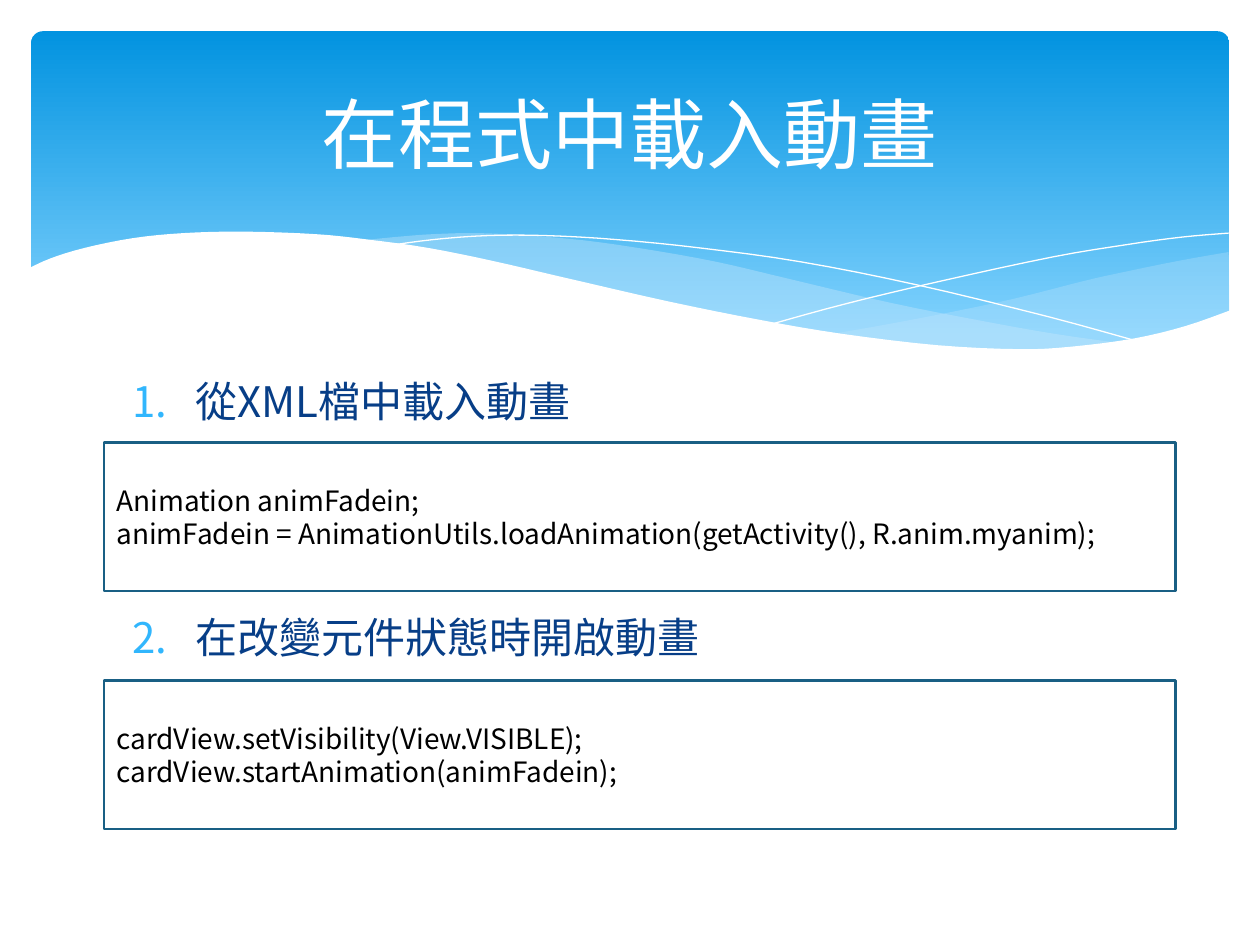
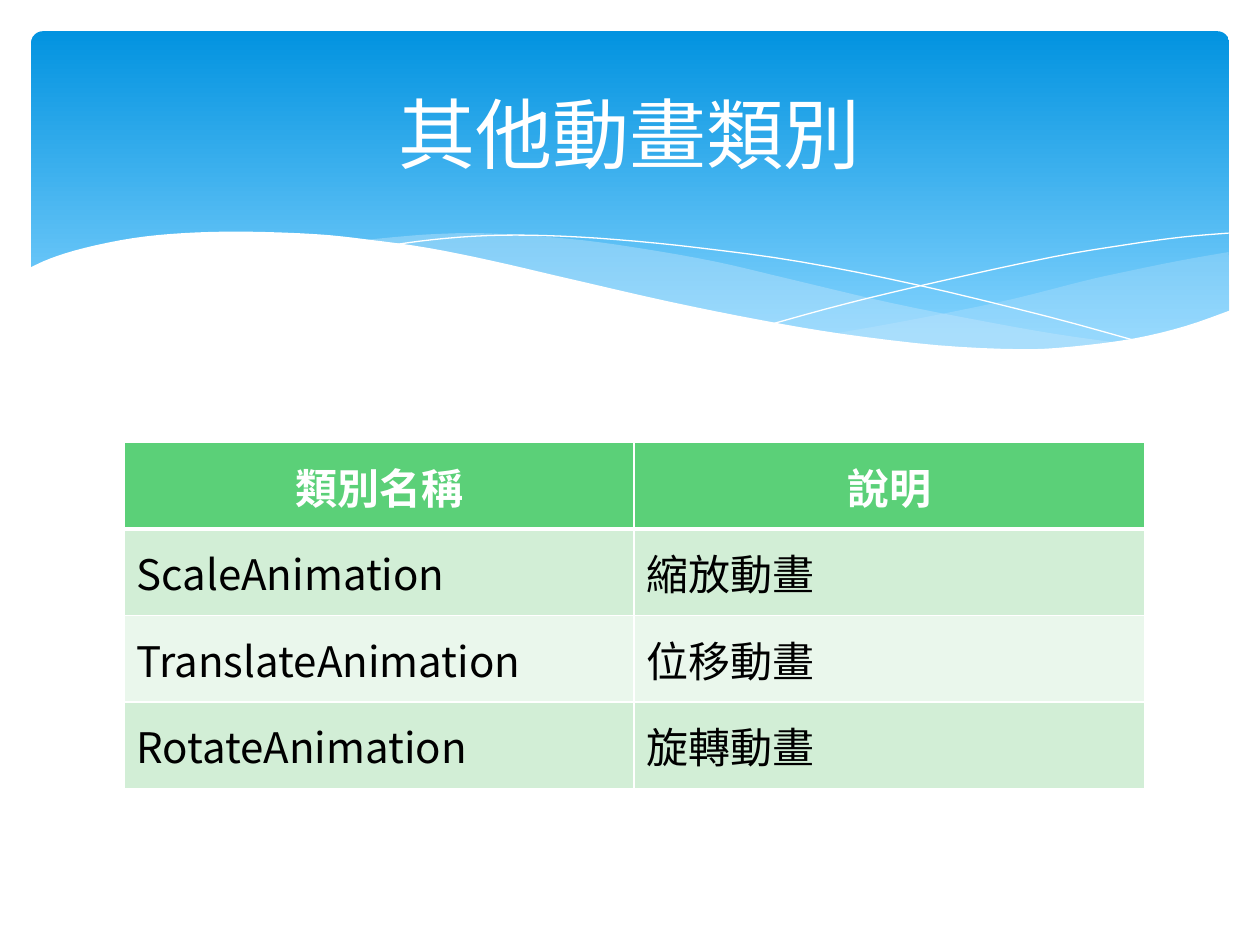
from lxml import etree
from pptx import Presentation
from pptx.dml.color import RGBColor
from pptx.enum.shapes import MSO_SHAPE
from pptx.enum.text import MSO_ANCHOR, MSO_AUTO_SIZE, PP_ALIGN
from pptx.oxml.ns import qn
from pptx.util import Cm, Pt

FONT = "Noto Sans CJK SC"
WHITE = RGBColor(0xFF, 0xFF, 0xFF)
BLACK = RGBColor(0x00, 0x00, 0x00)
NAVY = RGBColor(0x07, 0x3E, 0x87)
NUMBER_BLUE = RGBColor(0x31, 0xB6, 0xFD)
BOX_BLUE = RGBColor(0x19, 0x5F, 0x84)
BAND_TOP = RGBColor(0x02, 0x93, 0xE0)
BAND_BOTTOM = RGBColor(0x83, 0xD3, 0xFE)
WAVE_BLUE = RGBColor(0xC6, 0xE7, 0xFC)
HEADER_GREEN = RGBColor(0x5B, 0xD0, 0x78)
ROW_GREENS = [RGBColor(0xD2, 0xEE, 0xD6), RGBColor(0xEA, 0xF7, 0xEC)]

LOAD_TITLE = "在程式中載入動畫"
STEPS = [
    ("從XML檔中載入動畫", [
        "Animation animFadein;",
        "animFadein = AnimationUtils.loadAnimation(getActivity(), R.anim.myanim);",
    ]),
    ("在改變元件狀態時開啟動畫", [
        "cardView.setVisibility(View.VISIBLE);",
        "cardView.startAnimation(animFadein);",
    ]),
]
CLASS_TITLE = "其他動畫類別"
CLASS_ROWS = [
    ("類別名稱", "說明"),
    ("ScaleAnimation", "縮放動畫"),
    ("TranslateAnimation", "位移動畫"),
    ("RotateAnimation", "旋轉動畫"),
]

RIGHT_WAVE = [
    [(24.77, 5.08), (23.75, 5.26), (22.63, 5.49), (21.87, 5.66), (20.45, 6.02),
     (19.13, 6.3), (17.93, 6.53), (16.79, 6.73)],
    [(16.79, 6.73), (17.91, 6.88), (18.92, 6.99), (19.84, 7.04), (20.68, 7.06),
     (21.69, 7.01), (22.58, 6.91), (23.39, 6.73), (24.1, 6.53), (24.79, 6.27)],
]
LEFT_WAVE = [
    [(22.68, 6.93), (21.26, 6.73), (19.69, 6.45), (17.93, 6.1), (15.98, 5.64),
     (14.45, 5.28), (13.06, 5.03), (11.81, 4.85), (10.67, 4.75), (9.65, 4.7),
     (8.74, 4.72), (7.95, 4.78), (7.26, 4.85)],
    [(7.26, 4.85), (8.69, 5.05), (10.26, 5.36), (11.4, 5.64), (13.46, 6.1),
     (15.27, 6.48), (16.89, 6.76), (18.34, 6.96), (19.63, 7.04), (20.78, 7.06),
     (21.77, 7.04), (22.68, 6.93)],
]
FALLING_LINE = [
    [(7.85, 4.95), (8.74, 4.83), (9.83, 4.75), (11, 4.75), (12.42, 4.83),
     (14.12, 5), (16.15, 5.28), (18.47, 5.74), (21.11, 6.38), (23.04, 6.91)],
]
RISING_LINE = [
    [(15.57, 6.53), (17.07, 6.12), (19, 5.66), (21.23, 5.18), (22.73, 4.93),
     (23.83, 4.78), (24.77, 4.7)],
]
WHITE_EDGE = [
    [(24.82, 6.25), (23.88, 6.58), (22.83, 6.83), (21.59, 6.99), (20.55, 7.04),
     (18.9, 6.96), (16.97, 6.73), (15.32, 6.45), (13.44, 6.07), (11.35, 5.59),
     (9.93, 5.26), (8.64, 5), (7.42, 4.83), (6.35, 4.72), (4.9, 4.67),
     (3.71, 4.7), (2.69, 4.8), (1.7, 5), (1.02, 5.21), (0.58, 5.41)],
    [(0.58, 8.36), (24.82, 8.36)],
]
WAVES = [
    (RIGHT_WAVE, WAVE_BLUE, 29),
    (LEFT_WAVE, WAVE_BLUE, 40),
    (FALLING_LINE, None, 100),
    (RISING_LINE, None, 100),
    (WHITE_EDGE, WHITE, 100),
]


def add_xml(parent, tag, **attributes):
    return etree.SubElement(parent, qn(tag), attributes)


def smooth_curve(points, steps=4):
    padded = [points[0], *points, points[-1]]
    curve = [points[0]]
    for a, b, c, d in zip(padded, padded[1:], padded[2:], padded[3:]):
        for step in range(1, steps + 1):
            t = step / steps
            curve.append(tuple(
                (2 * q + (r - p) * t + (2 * p - 5 * q + 4 * r - s) * t ** 2
                 + (3 * q - p - 3 * r + s) * t ** 3) / 2
                for p, q, r, s in zip(a, b, c, d)))
    return curve


def add_wave(shapes, edges, color, opacity):
    points = [(Cm(x), Cm(y)) for edge in edges for x, y in smooth_curve(edge)]
    builder = shapes.build_freeform(*points[0])
    builder.add_line_segments(points[1:], close=color is not None)
    wave = builder.convert_to_shape()
    wave.shadow.inherit = False
    if color is None:
        wave.fill.background()
        wave.line.color.rgb = WHITE
        wave.line.width = Pt(0)
    else:
        wave.fill.solid()
        wave.fill.fore_color.rgb = color
        wave.line.fill.background()
        if opacity < 100:
            fill_color = wave.element.spPr.find(qn("a:solidFill"))[0]
            add_xml(fill_color, "a:alpha", val=str(opacity * 1000))
    return wave


def add_band(shapes):
    band = shapes.add_shape(MSO_SHAPE.ROUNDED_RECTANGLE, Cm(0.63), Cm(0.63), Cm(24.15), Cm(6.86))
    band.adjustments[0] = 0.034
    band.shadow.inherit = False
    band.line.fill.background()
    band.fill.gradient()
    band.fill.gradient_angle = 270
    for stop, color, position in zip(band.fill.gradient_stops, (BAND_TOP, BAND_BOTTOM), (0, 0.9)):
        stop.color.rgb = color
        stop.position = position
    return band


def move_to_master(master, shapes):
    for index, shape in enumerate(shapes):
        master.shapes.element.insert(2 + index, shape.element)


def place(shape, left, top, width, height):
    shape.left, shape.top, shape.width, shape.height = Cm(left), Cm(top), Cm(width), Cm(height)


def write(paragraph, text, size, color, bold=False, align=PP_ALIGN.LEFT):
    paragraph.alignment = align
    run = paragraph.add_run()
    run.text = text
    run.font.size = Pt(size)
    run.font.bold = bold
    run.font.color.rgb = color
    run.font.name = FONT
    add_xml(run.font._element, "a:ea", typeface=FONT)


def write_lines(frame, lines, size, color):
    for index, line in enumerate(lines):
        paragraph = frame.add_paragraph() if index else frame.paragraphs[0]
        write(paragraph, line, size, color)


def add_slide(prs, layout_index, title_text):
    slide = prs.slides.add_slide(prs.slide_layouts[layout_index])
    title = slide.shapes.title
    place(title, 1.27, 0.94, 22.86, 3.48)
    title.text_frame.auto_size = MSO_AUTO_SIZE.NONE
    title.text_frame.vertical_anchor = MSO_ANCHOR.MIDDLE
    write(title.text_frame.paragraphs[0], title_text, 44, WHITE, align=PP_ALIGN.CENTER)
    return slide


def number_paragraph(paragraph):
    properties = paragraph._p.get_or_add_pPr()
    properties.set("marL", str(Cm(1.27)))
    properties.set("indent", str(-Cm(1.27)))
    bullet_color = add_xml(properties, "a:buClr")
    add_xml(bullet_color, "a:srgbClr", val=str(NUMBER_BLUE))
    add_xml(properties, "a:buFont", typeface=FONT)
    add_xml(properties, "a:buAutoNum", type="arabicPeriod")


def fill_steps(slide):
    body = slide.placeholders[1]
    place(body, 2.41, 7.44, 20.88, 9.58)
    frame = body.text_frame
    frame.auto_size = MSO_AUTO_SIZE.NONE
    write_lines(frame, [heading for heading, code in STEPS], 24, NAVY)
    for paragraph, gap in zip(frame.paragraphs, (4.8, 106.3)):
        paragraph.space_before = Pt(gap)
        number_paragraph(paragraph)
    for index, (heading, code) in enumerate(STEPS):
        box = slide.shapes.add_shape(
            MSO_SHAPE.RECTANGLE, Cm(2.1), Cm(8.92 + index * 4.8), Cm(21.6), Cm(3))
        box.shadow.inherit = False
        box.fill.solid()
        box.fill.fore_color.rgb = WHITE
        box.line.color.rgb = BOX_BLUE
        box.line.width = Pt(1.25)
        box.text_frame.word_wrap = True
        box.text_frame.vertical_anchor = MSO_ANCHOR.MIDDLE
        write_lines(box.text_frame, code, 16, BLACK)


def set_borders(cell, widths):
    properties = cell._tc.get_or_add_tcPr()
    for index, (side, width) in enumerate(widths.items()):
        line = etree.Element(qn(f"a:ln{side}"), w=str(Pt(width)))
        fill = add_xml(line, "a:solidFill")
        add_xml(fill, "a:srgbClr", val=str(WHITE))
        properties.insert(index, line)


def add_class_table(slide):
    columns = len(CLASS_ROWS[0])
    table = slide.shapes.add_table(
        len(CLASS_ROWS), columns, Cm(2.5), Cm(8.92), Cm(20.57), Cm(6.98)).table
    for row, values in enumerate(CLASS_ROWS):
        header = row == 0
        for column, text in enumerate(values):
            cell = table.cell(row, column)
            cell.vertical_anchor = MSO_ANCHOR.MIDDLE
            cell.fill.solid()
            cell.fill.fore_color.rgb = HEADER_GREEN if header else ROW_GREENS[(row - 1) % 2]
            set_borders(cell, {"L": 1, "R": 1, "T": 3 if row == 1 else 1, "B": 3 if header else 1})
            write(cell.text_frame.paragraphs[0], text, 24, WHITE if header else BLACK,
                  bold=header, align=PP_ALIGN.CENTER if header else PP_ALIGN.LEFT)


prs = Presentation()
prs.slide_width, prs.slide_height = Cm(25.4), Cm(19.05)

load_slide = add_slide(prs, 1, LOAD_TITLE)
backdrop = [add_band(load_slide.shapes)]
backdrop += [add_wave(load_slide.shapes, *wave) for wave in WAVES]
move_to_master(prs.slide_master, backdrop)
fill_steps(load_slide)

class_slide = add_slide(prs, 5, CLASS_TITLE)
add_class_table(class_slide)

prs.save("out.pptx")
